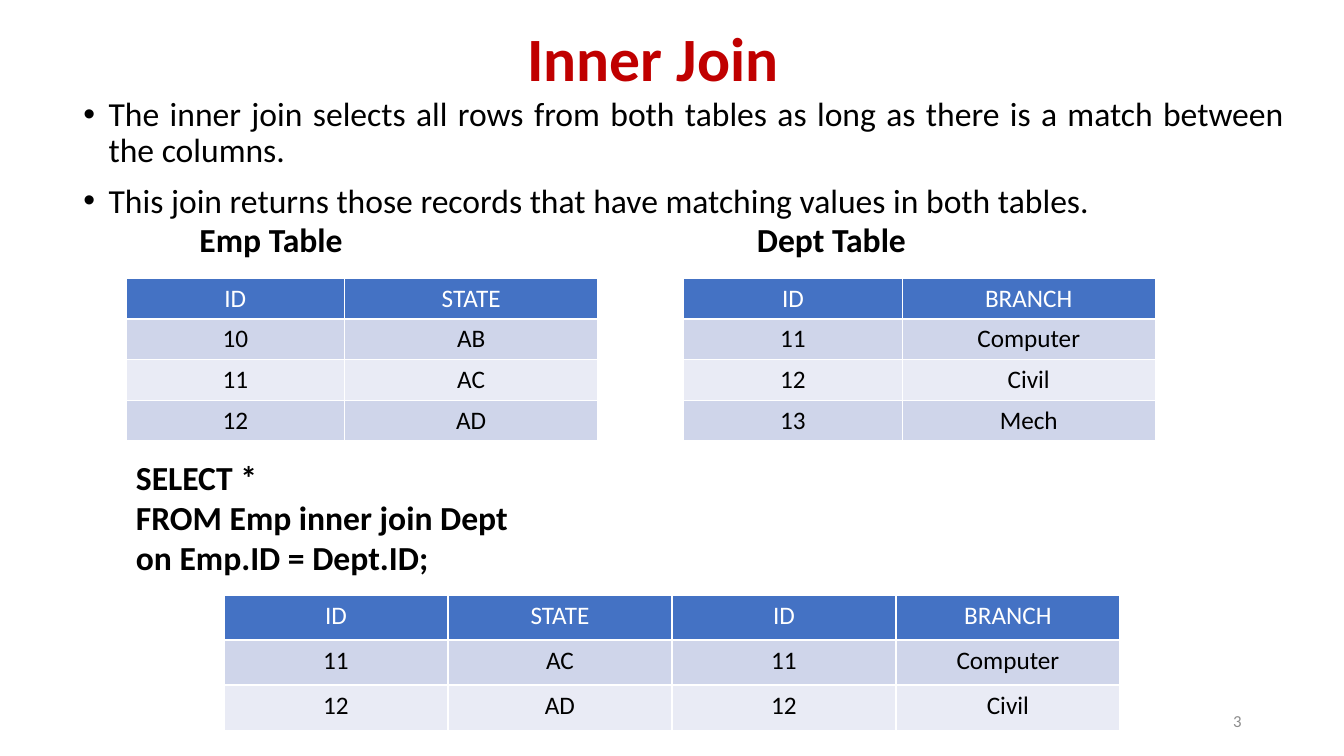
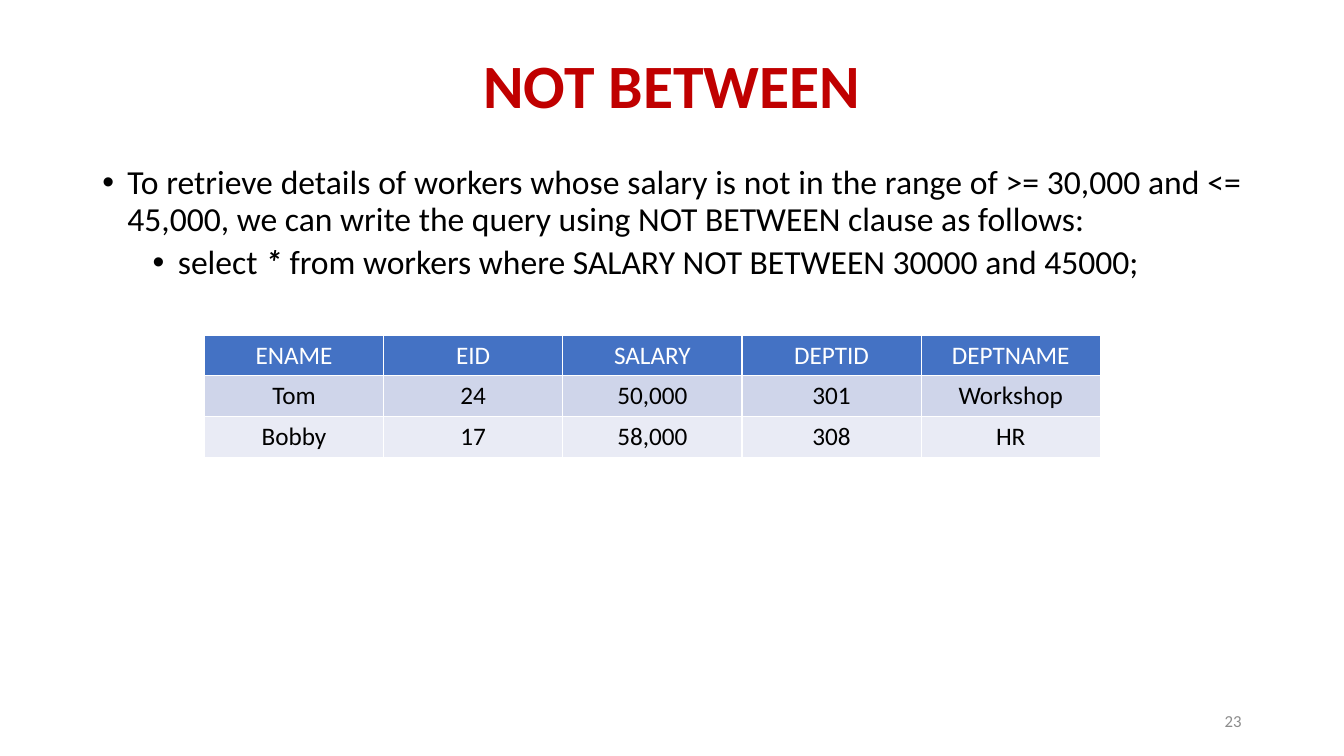
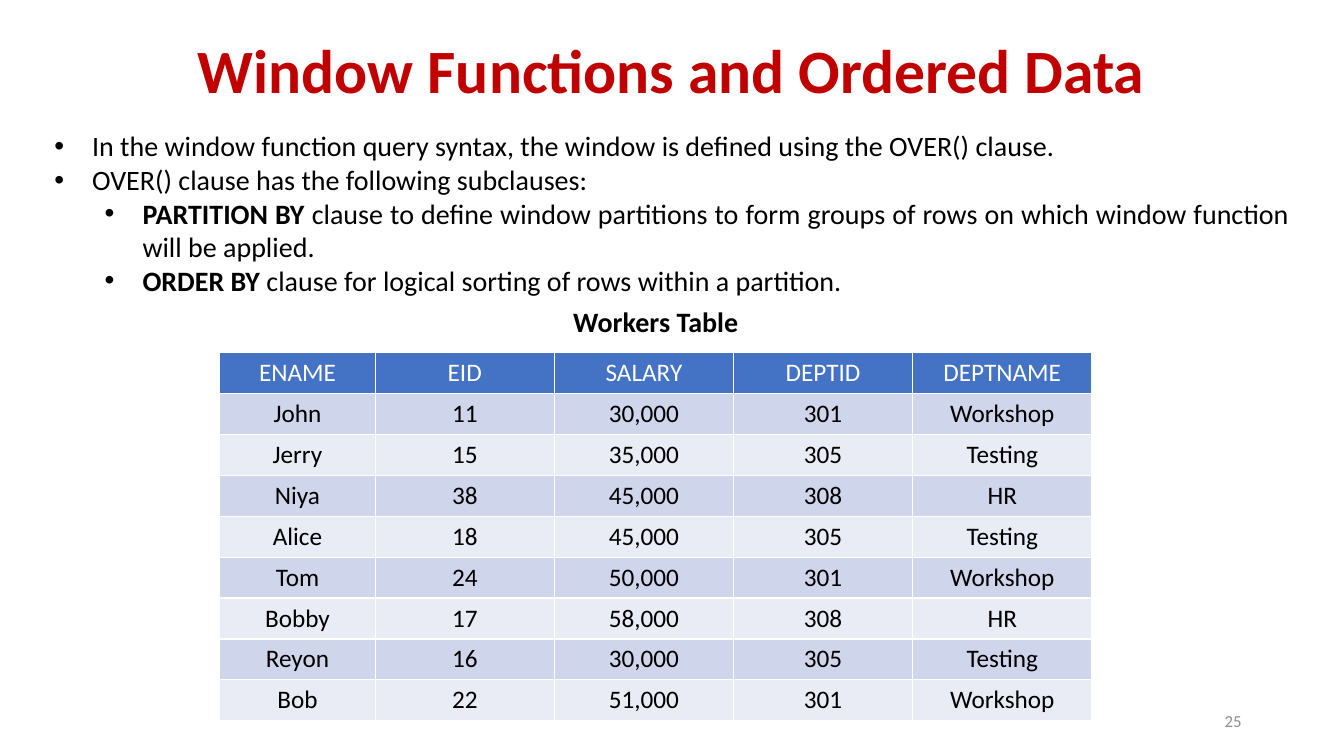
from lxml import etree
from pptx import Presentation
from pptx.dml.color import RGBColor
from pptx.enum import text
from pptx.oxml import ns
from pptx.util import Pt

RED = RGBColor(0xC0, 0x00, 0x00)
BLACK = RGBColor(0x00, 0x00, 0x00)
WHITE = RGBColor(0xFF, 0xFF, 0xFF)
GREY = RGBColor(0x8C, 0x8C, 0x8C)
BLUE = RGBColor(0x44, 0x72, 0xC4)
DARK = RGBColor(0xCF, 0xD5, 0xEA)
LIGHT = RGBColor(0xE9, 0xEB, 0xF5)
FACE = "Calibri"
LEFT, MID, RIGHT, JUST = (text.PP_ALIGN.LEFT, text.PP_ALIGN.CENTER,
                          text.PP_ALIGN.RIGHT, text.PP_ALIGN.JUSTIFY)


def write(slide, at, lines, size, bold=False, color=BLACK, align=LEFT,
          hang=0, lead=None, gaps=(0, 0)):
    box = slide.shapes.add_textbox(*map(Pt, at))
    frame = box.text_frame
    frame.word_wrap = True
    for i, (level, *runs) in enumerate(lines):
        para = frame.paragraphs[0] if i == 0 else frame.add_paragraph()
        para.level = level
        para.alignment = align
        para.line_spacing = lead
        para.space_before = Pt(gaps[level] if i else 0)
        if hang:
            props = para._p.get_or_add_pPr()
            props.set("marL", str(Pt(hang + 36 * level)))
            props.set("indent", str(Pt(-hang)))
            etree.SubElement(props, ns.qn("a:buFont"), typeface="Arial")
            etree.SubElement(props, ns.qn("a:buChar"), char="•")
        font = para.font
        font.name, font.size, font.bold = FACE, Pt(size), bold
        font.color.rgb = color
        for words, style in runs:
            run = para.add_run()
            run.text = words
            if style:
                run.font.bold = "b" in style
                run.font.italic = "i" in style
    return frame


def grid(slide, left, top, widths, height, rows):
    table = slide.shapes.add_table(
        len(rows), len(widths), Pt(left), Pt(top),
        Pt(sum(widths)), Pt(height * len(rows))).table
    for col, width in zip(table.columns, widths):
        col.width = Pt(width)
    for r, row in enumerate(rows):
        table.rows[r].height = Pt(height)
        for c, words in enumerate(row):
            cell = table.cell(r, c)
            cell.text = words
            cell.fill.solid()
            cell.fill.fore_color.rgb = BLUE if r == 0 else DARK if r % 2 else LIGHT
            para = cell.text_frame.paragraphs[0]
            para.alignment = MID
            font = para.font
            font.name, font.size, font.bold = FACE, Pt(18), False
            font.color.rgb = BLACK if r else WHITE


deck = Presentation()
deck.slide_width, deck.slide_height = Pt(960), Pt(540)

pages = []
for name, number, left, top in [
    ("Inner Join", "3", 52.5, -8.5),
    ("NOT BETWEEN", "23", 66, 10.8),
    ("Window Functions and Ordered Data", "25", 66, 0),
]:
    page = deck.slides.add_slide(deck.slide_layouts[5])
    title = page.shapes.title
    title.left, title.top, title.width, title.height = map(Pt, (left, top, 828, 104.4))
    title.text = name
    title.text_frame.auto_size = text.MSO_AUTO_SIZE.NONE
    title.text_frame.vertical_anchor = text.MSO_ANCHOR.MIDDLE
    para = title.text_frame.paragraphs[0]
    para.alignment = MID
    para.line_spacing = 0.9
    para.font.name, para.font.size, para.font.bold = FACE, Pt(44), True
    para.font.color.rgb = RED
    foot = write(page, (678, 500.5, 216, 28.8), [(0, (number, ""))], 12,
                 color=GREY, align=RIGHT)
    foot.vertical_anchor = text.MSO_ANCHOR.MIDDLE
    pages.append(page)

inner, between, window = pages

write(inner, (52.5, 66.2, 872, 342.7), [
    (0, ("The inner join selects all rows from both tables as long as there is a match between the columns.", "")),
    (0, ("This join returns those records that have matching values in both tables.", "")),
], 24, align=JUST, hang=18, lead=0.9, gaps=(10, 5))

emp = [("ID", "STATE"), ("10", "AB"), ("11", "AC"), ("12", "AD")]
dept = [("ID", "BRANCH"), ("11", "Computer"), ("12", "Civil"), ("13", "Mech")]
for name, left, edge, rows in [
    ("Emp Table", 135.4, 90, emp),
    ("Dept Table", 533.5, 488.3, dept),
]:
    write(inner, (left, 152.6, 220, 36), [(0, (name, ""))], 24, bold=True)
    grid(inner, edge, 198.7, (156.2, 180.7), 29.1, rows)

write(inner, (90, 322.6, 480, 94.3), [
    (0, ("SELECT *", "")),
    (0, ("FROM Emp inner join Dept", "")),
    (0, ("on Emp.ID = Dept.ID;", "")),
], 24, bold=True)
joined = [e + d for e in emp for d in dept if e[0] == d[0]]
grid(inner, 160, 425, [160] * 4, 32.2, joined)

workers = [
    ("ENAME", "EID", "SALARY", "DEPTID", "DEPTNAME"),
    ("John", "11", "30,000", "301", "Workshop"),
    ("Jerry", "15", "35,000", "305", "Testing"),
    ("Niya", "38", "45,000", "308", "HR"),
    ("Alice", "18", "45,000", "305", "Testing"),
    ("Tom", "24", "50,000", "301", "Workshop"),
    ("Bobby", "17", "58,000", "308", "HR"),
    ("Reyon", "16", "30,000", "305", "Testing"),
    ("Bob", "22", "51,000", "301", "Workshop"),
]

write(between, (66, 115, 828, 342.7), [
    (0, ("To retrieve details of workers whose salary is not in the range of >= 30,000 and <= 45,000, we can write the query using NOT BETWEEN clause as follows:", "")),
    (1, ("select ", ""), ("* ", "bi"),
     ("from workers where SALARY NOT BETWEEN 30000 and 45000;", "")),
], 24, align=JUST, hang=18, lead=0.9, gaps=(10, 5))
grid(between, 146, 239.3, [128] * 5, 29.2, [workers[0], *workers[5:7]])

write(window, (31.7, 88.6, 896.4, 128), [
    (0, ("In the window function query syntax, the window is defined using the OVER() clause.", "")),
    (0, ("OVER() clause has the following subclauses:", "")),
    (1, ("PARTITION BY ", "b"),
     ("clause to define window partitions to form groups of rows on which window function will be applied.", "")),
    (1, ("ORDER BY ", "b"),
     ("clause for logical sorting of rows within a partition.", "")),
], 20, align=JUST, hang=27)
grid(window, 157, 252, [111] + [128] * 4, 29.2, workers)
write(window, (337, 213.8, 262.8, 31.7), [(0, ("Workers Table", ""))], 20,
      bold=True, align=MID)

deck.save("out.pptx")
